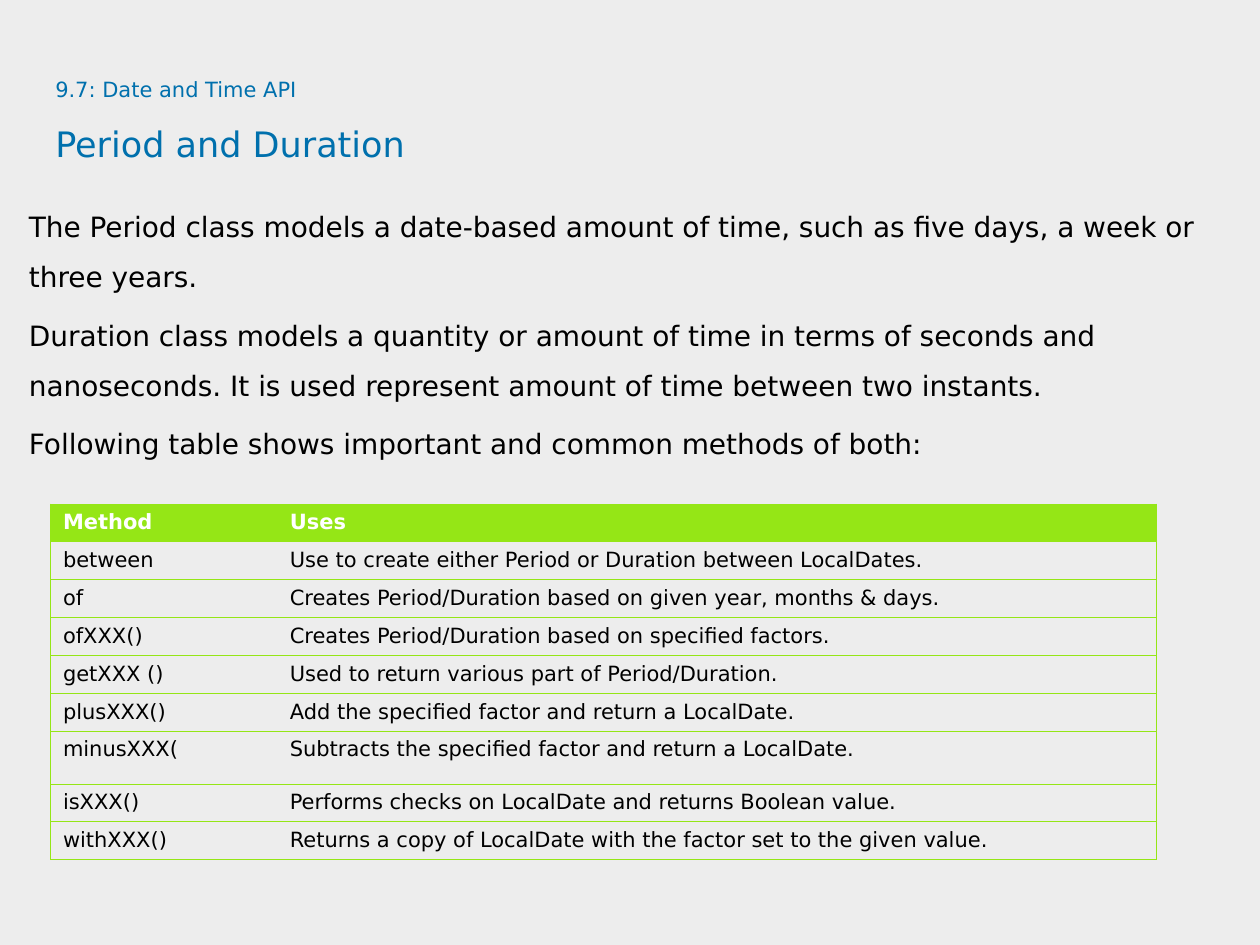
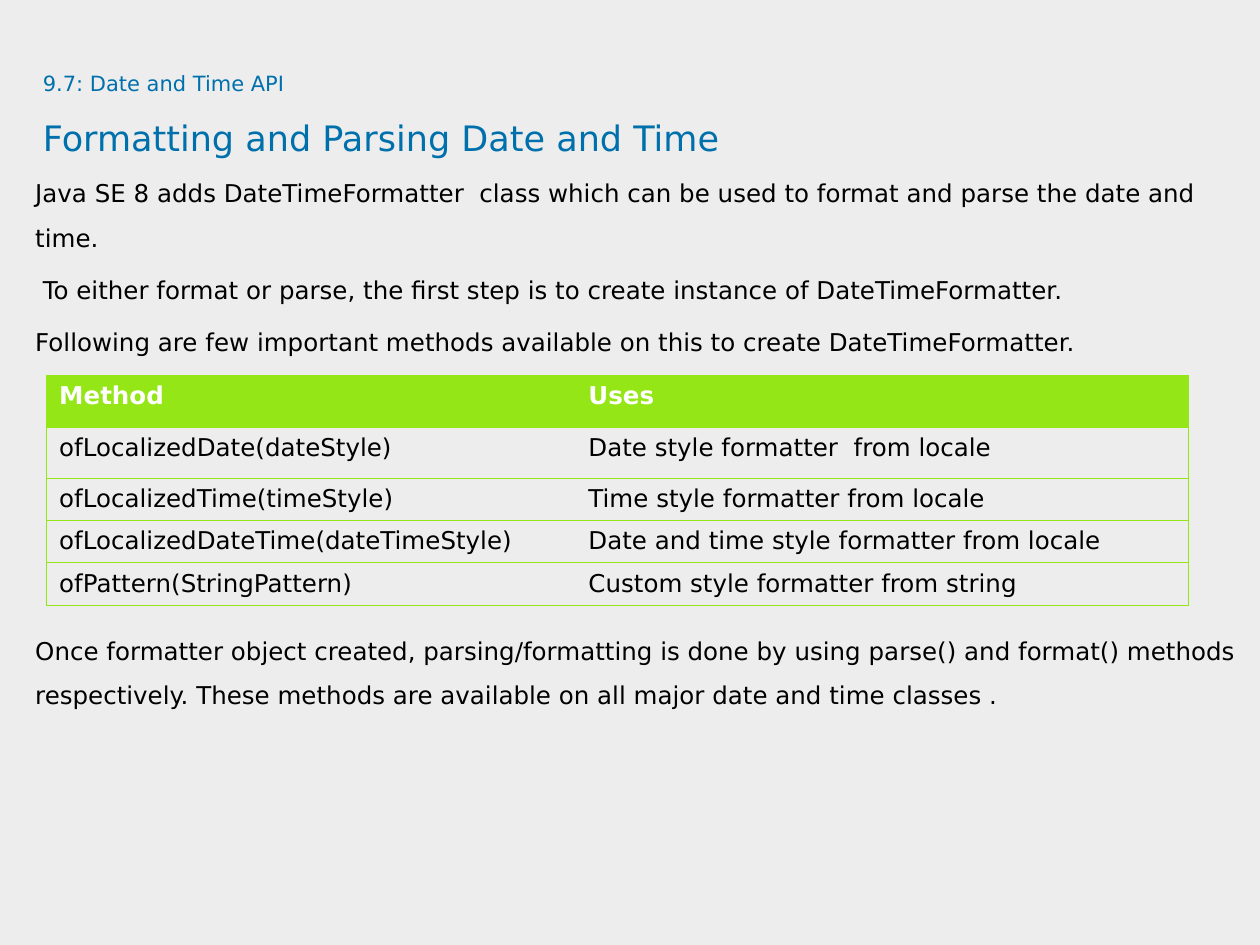
from lxml.etree import SubElement
from pptx import Presentation
from pptx.dml.color import RGBColor
from pptx.oxml.ns import qn
from pptx.util import Inches, Pt

FONT = "DejaVu Sans"
BACKGROUND = "EDEDED"
BLUE = "0070AD"
BLACK = "000000"
WHITE = "FFFFFF"
LIME = "95E616"
PLAIN_TABLE_STYLE = "{2D5ABB26-0587-4C30-8999-92F81FD0307C}"
SECTION = "9.7: Date and Time API"

PERIOD_INTRO = [
    "The Period class models a date-based amount of time, such as five days, a week or three years.",
    "Duration class models a quantity or amount of time in terms of seconds and nanoseconds. "
    "It is used represent amount of time between two instants.",
    "Following table shows important and common methods of both:",
]
PERIOD_METHODS = [
    ("Method", "Uses"),
    ("between", "Use to create either Period or Duration between LocalDates."),
    ("of", "Creates Period/Duration based on given year, months & days."),
    ("ofXXX()", "Creates Period/Duration based on specified factors."),
    ("getXXX ()", "Used to return various part of Period/Duration."),
    ("plusXXX()", "Add the specified factor and return a LocalDate."),
    ("minusXXX(", "Subtracts the specified factor and return a LocalDate."),
    ("isXXX()", "Performs checks on LocalDate and returns Boolean value."),
    ("withXXX()", "Returns a copy of LocalDate with the factor set to the given value."),
]
FORMATTER_INTRO = [
    "Java SE 8 adds DateTimeFormatter  class which can be used to format and parse the date and time.",
    "To either format or parse, the first step is to create instance of DateTimeFormatter.",
    "Following are few important methods available on this to create DateTimeFormatter.",
]
FORMATTER_METHODS = [
    ("Method", "Uses"),
    ("ofLocalizedDate(dateStyle)", "Date style formatter  from locale"),
    ("ofLocalizedTime(timeStyle)", "Time style formatter from locale"),
    ("ofLocalizedDateTime(dateTimeStyle)", "Date and time style formatter from locale"),
    ("ofPattern(StringPattern)", "Custom style formatter from string"),
]
FORMATTER_USAGE = [
    "Once formatter object created, parsing/formatting is done by using parse() and format() "
    "methods respectively. These methods are available on all major date and time classes .",
]


def color(hex_string):
    return RGBColor.from_string(hex_string)


def write(paragraph, text, size, ink=BLACK, bold=False, spacing=None, after=0, indent=0):
    """Fill a paragraph; indent (inches) moves its first line only."""
    if indent:
        paragraph._p.get_or_add_pPr().set("indent", str(Inches(indent)))
    paragraph.line_spacing = spacing
    paragraph.space_after = Pt(after)
    run = paragraph.add_run()
    run.text = text
    font = run.font
    font.name, font.size, font.bold = FONT, Pt(size), bold
    font.color.rgb = color(ink)


def draw_borders(cell, sides):
    """Line the given sides, a string of the letters L, R, T and B in that order."""
    properties = cell._tc.get_or_add_tcPr()
    for side in sides:
        line = SubElement(properties, qn(f"a:ln{side}"), w=str(Pt(0.5)))
        fill = SubElement(line, qn("a:solidFill"))
        SubElement(fill, qn("a:srgbClr"), val=LIME)


class Deck:
    def __init__(self):
        self.presentation = Presentation()
        self.presentation.slide_width = Inches(10)
        self.presentation.slide_height = Inches(7.5)
        self.slide = None

    def add_slide(self):
        self.slide = self.presentation.slides.add_slide(self.presentation.slide_layouts[6])
        backdrop = self.slide.background.fill
        backdrop.solid()
        backdrop.fore_color.rgb = color(BACKGROUND)

    def text_frame(self, left, top, width, height, inset_x=0, inset_y=0):
        frame = self.slide.shapes.add_textbox(*map(Inches, (left, top, width, height))).text_frame
        frame.word_wrap = True
        frame.margin_left = frame.margin_right = Inches(inset_x)
        frame.margin_top = frame.margin_bottom = Inches(inset_y)
        return frame

    def title(self, heading, inset_x=0, inset_y=0):
        frame = self.text_frame(0.34, 0.46, 9.09, 0.94, inset_x, inset_y)
        write(frame.paragraphs[0], SECTION, 12, ink=BLUE, spacing=1.5)
        write(frame.add_paragraph(), heading, 20, ink=BLUE, spacing=1.5)

    def body(self, texts, left, top, height, size, indents=None):
        """Write paragraphs; indents maps a paragraph number to its first-line indent."""
        frame = self.text_frame(left, top, 9.67, height)
        for number, text in enumerate(texts):
            paragraph = frame.add_paragraph() if number else frame.paragraphs[0]
            write(paragraph, text, size, spacing=1.5, after=4.5,
                  indent=(indents or {}).get(number, 0))

    def table(self, rows, left, top, widths, size, row_height, tall_rows, tall_height):
        heights = [tall_height if number in tall_rows else row_height
                   for number in range(len(rows))]
        frame = self.slide.shapes.add_table(
            len(rows), len(widths), *map(Inches, (left, top, sum(widths), sum(heights))))
        table = frame.table
        table._tbl.tblPr.find(qn("a:tableStyleId")).text = PLAIN_TABLE_STYLE
        table.horz_banding = False
        for column, width in zip(table.columns, widths):
            column.width = Inches(width)
        for row, height in zip(table.rows, heights):
            row.height = Inches(height)
        for r, row in enumerate(rows):
            is_header = r == 0
            for c, text in enumerate(row):
                cell = table.cell(r, c)
                write(cell.text_frame.paragraphs[0], text, size,
                      ink=WHITE if is_header else BLACK, bold=is_header)
                draw_borders(cell, ("L" if c == 0 else "R") + "TB")
                if is_header:
                    cell.fill.solid()
                    cell.fill.fore_color.rgb = color(LIME)
                else:
                    cell.fill.background()


def main():
    deck = Deck()

    deck.add_slide()
    deck.title("Period and Duration", inset_x=0.1, inset_y=0.05)
    deck.body(PERIOD_INTRO, 0.23, 1.53, 2.4, size=16)
    deck.table(PERIOD_METHODS, 0.4, 4, (1.8, 6.98), size=12,
               row_height=0.27, tall_rows={6}, tall_height=0.42)

    deck.add_slide()
    deck.title("Formatting and Parsing Date and Time")
    deck.body(FORMATTER_INTRO, 0.28, 1.3, 1.6, size=14, indents={1: 0.06})
    deck.table(FORMATTER_METHODS, 0.37, 2.98, (4.2, 4.86), size=14,
               row_height=0.33, tall_rows={0, 1}, tall_height=0.41)
    deck.body(FORMATTER_USAGE, 0.28, 4.93, 0.8, size=14)

    deck.presentation.save("out.pptx")


if __name__ == "__main__":
    main()
